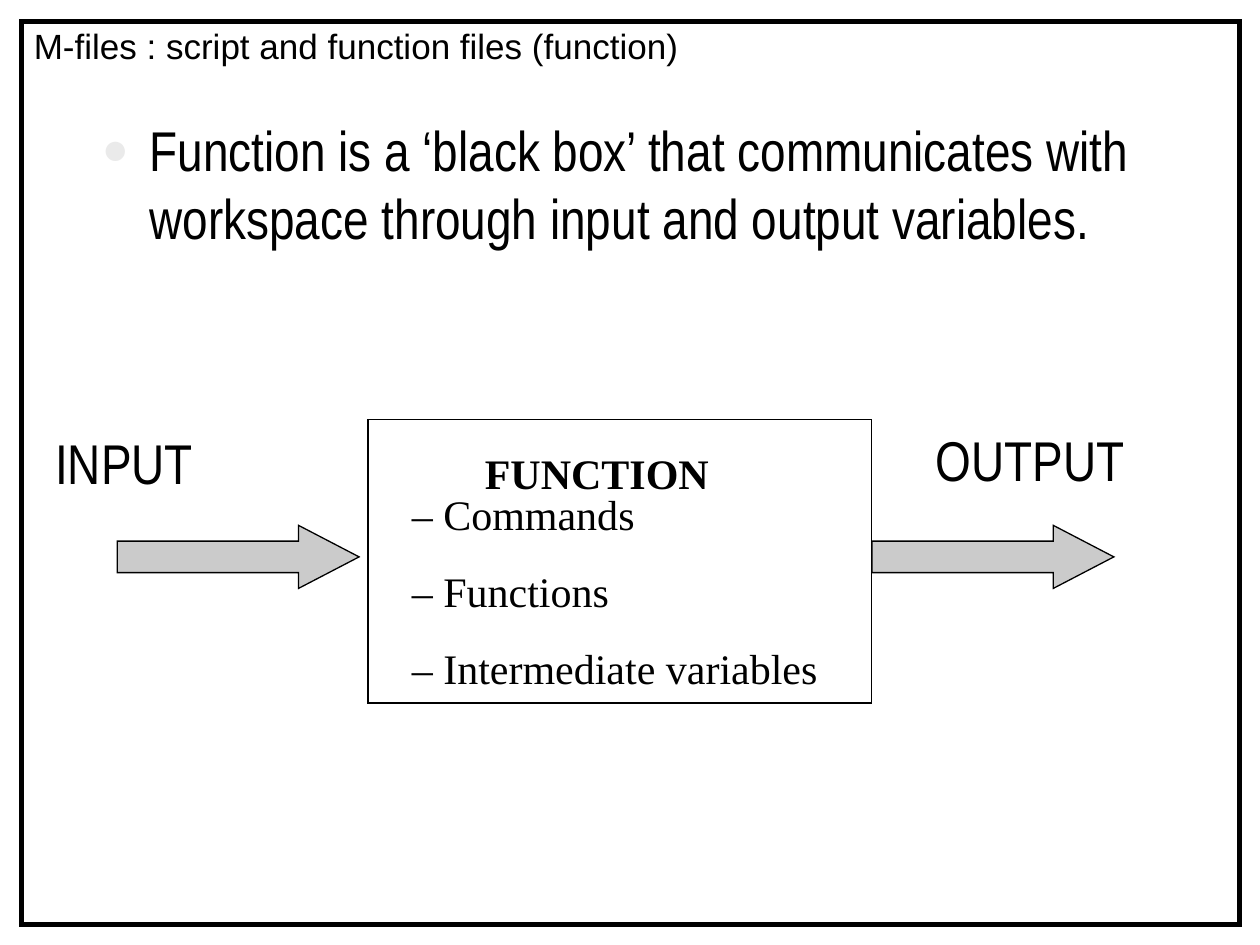
from dataclasses import dataclass
from typing import Optional

from lxml.etree import SubElement
from pptx import Presentation
from pptx.dml.color import RGBColor
from pptx.enum.shapes import MSO_SHAPE
from pptx.enum.text import MSO_ANCHOR, MSO_AUTO_SIZE
from pptx.oxml.ns import qn
from pptx.util import Inches, Pt

COLORS = {"ink": "000000", "arrow": "CBCBCB", "bullet": "EAEAEA"}
NARROW, SERIF, SANS = "Arial Narrow", "Times New Roman", "Arial"


@dataclass
class Area:
    left: float
    top: float
    width: float
    height: float

    def lengths(self) -> list:
        return [Inches(v) for v in (self.left, self.top, self.width, self.height)]


@dataclass
class Port:
    """A labelled arrow into or out of the function box."""
    label: str
    label_area: Area
    arrow_left: float


PORTS = [
    Port("INPUT", Area(0.34, 3.35, 1.4, 0.64), 0.93),
    Port("OUTPUT", Area(7.33, 3.33, 1.8, 0.64), 6.92),
]


def add_text(page, area: Area, text: str, *, size: float, font: str,
             bold: bool = False, grow: bool = False,
             middle: bool = False, before: float = 0):
    """Add a text box with one paragraph per line of text."""
    box = page.shapes.add_textbox(*area.lengths())
    frame = box.text_frame
    frame.word_wrap = True
    frame.auto_size = MSO_AUTO_SIZE.SHAPE_TO_FIT_TEXT if grow else MSO_AUTO_SIZE.NONE
    frame.vertical_anchor = MSO_ANCHOR.MIDDLE if middle else MSO_ANCHOR.TOP
    frame.text = text
    for para in frame.paragraphs:
        para.space_before = Pt(before)
        for span in para.runs:
            span.font.size = Pt(size)
            span.font.name = font
            span.font.bold = bold
            span.font.color.rgb = RGBColor.from_string(COLORS["ink"])
    return box


def add_bullet(para, indent: float) -> None:
    """Give a paragraph a hanging round bullet."""
    properties = para._p.get_or_add_pPr()
    properties.set("marL", str(Inches(indent)))
    properties.set("indent", str(-Inches(indent)))
    color = SubElement(properties, qn("a:buClr"))
    SubElement(color, qn("a:srgbClr"), val=COLORS["bullet"])
    SubElement(properties, qn("a:buSzPct"), val="80000")
    SubElement(properties, qn("a:buFont"), typeface=SANS)
    SubElement(properties, qn("a:buChar"), char="●")


def add_outline(page, kind: MSO_SHAPE, area: Area, *, line: float = 0.75,
                fill: Optional[str] = None):
    """Add a shape with a black, sharp-cornered outline."""
    shape = page.shapes.add_shape(kind, *area.lengths())
    shape.shadow.inherit = False
    if fill:
        shape.fill.solid()
        shape.fill.fore_color.rgb = RGBColor.from_string(fill)
    else:
        shape.fill.background()
    shape.line.color.rgb = RGBColor.from_string(COLORS["ink"])
    shape.line.width = Pt(line)
    SubElement(shape.line._get_or_add_ln(), qn("a:miter"), lim="800000")
    return shape


def add_port(page, port: Port) -> None:
    arrow = add_outline(page, MSO_SHAPE.RIGHT_ARROW,
                        Area(port.arrow_left, 4.17, 1.92, 0.5), fill=COLORS["arrow"])
    arrow.adjustments[0] = 0.5
    arrow.adjustments[1] = 0.96
    add_text(page, port.label_area, port.label, size=32, font=NARROW, grow=True)


def main() -> None:
    deck = Presentation()
    deck.slide_width, deck.slide_height = Inches(10), Inches(7.5)
    page = deck.slides.add_slide(deck.slide_layouts[6])

    # Statement
    statement = add_text(
        page, Area(0.71, 0.87, 8.5, 1.25),
        "Function is a ‘black box’ that communicates with workspace "
        "through input and output variables.",
        size=32, font=NARROW, before=8)
    add_bullet(statement.text_frame.paragraphs[0], 0.38)

    # Input and output
    for port in PORTS:
        add_port(page, port)

    # Function box and its contents
    add_outline(page, MSO_SHAPE.RECTANGLE, Area(2.92, 3.33, 4, 2.25))
    add_text(page, Area(3.75, 3.5, 2.1, 0.5), "FUNCTION", size=24, font=SERIF,
             bold=True, grow=True)
    add_text(page, Area(3.17, 3.83, 3.58, 1.72),
             "– Commands\n– Functions\n– Intermediate variables",
             size=24, font=SERIF, grow=True, before=15)

    # Title and page frame
    add_text(page, Area(0.17, 0.08, 8.5, 0.56),
             "M-files : script and function files (function)",
             size=20, font=SANS, middle=True)
    add_outline(page, MSO_SHAPE.RECTANGLE, Area(0.17, 0.17, 9.67, 7.17), line=3)

    deck.save("out.pptx")


if __name__ == "__main__":
    main()
